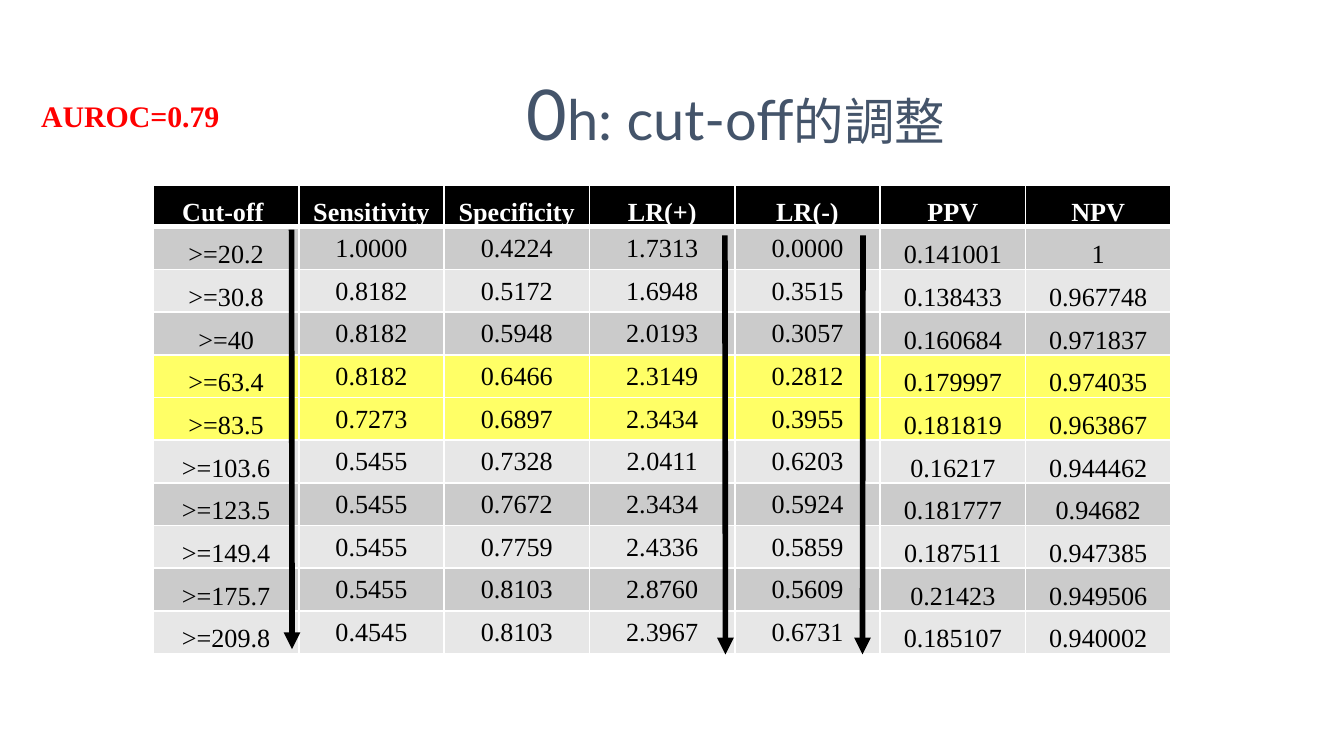
from lxml import etree
from pptx import Presentation
from pptx.dml.color import RGBColor
from pptx.enum.shapes import MSO_CONNECTOR
from pptx.enum.text import MSO_ANCHOR, MSO_AUTO_SIZE, PP_ALIGN
from pptx.oxml.ns import qn
from pptx.util import Cm, Pt

LEFT, CENTER = PP_ALIGN.LEFT, PP_ALIGN.CENTER
TOP, MIDDLE, BOTTOM = MSO_ANCHOR.TOP, MSO_ANCHOR.MIDDLE, MSO_ANCHOR.BOTTOM
STRAIGHT = MSO_CONNECTOR.STRAIGHT
GROW, FIXED = MSO_AUTO_SIZE.SHAPE_TO_FIT_TEXT, MSO_AUTO_SIZE.NONE

THEME = {
    "header_fill": "000000",
    "bands": ("CBCBCB", "E7E7E7"),
    "highlight": "FFFF66",
    "border": "FFFFFF",
    "arrow": "000000",
    "title": {"name": "Lato", "color": "44546A", "bold": False},
    "title_sizes": (37.5, 30, 27),
    "score": {"name": "Times New Roman", "size": 16, "color": "FF0000", "bold": True},
    "header": {"name": "Times New Roman", "size": 14, "color": "FFFFFF", "bold": True},
    "body": {"name": "Times New Roman", "size": 14, "color": "000000", "bold": False},
}

TITLE = ("0", "h: cut-off", "的調整")
SCORE = "AUROC=0.79"
HEADER = ("Cut-off ", "Sensitivity", "Specificity", "LR(+)", "LR(-)", "PPV", "NPV")
ROWS = [
    (">=20.2", "1.0000", "0.4224", "1.7313", "0.0000", "0.141001", "1"),
    (">=30.8", "0.8182", "0.5172", "1.6948", "0.3515", "0.138433", "0.967748"),
    (">=40", "0.8182", "0.5948", "2.0193", "0.3057", "0.160684", "0.971837"),
    (">=63.4", "0.8182", "0.6466", "2.3149", "0.2812", "0.179997", "0.974035"),
    (">=83.5", "0.7273", "0.6897", "2.3434", "0.3955", "0.181819", "0.963867"),
    (">=103.6", "0.5455", "0.7328", "2.0411", "0.6203", "0.16217", "0.944462"),
    (">=123.5", "0.5455", "0.7672", "2.3434", "0.5924", "0.181777", "0.94682"),
    (">=149.4", "0.5455", "0.7759", "2.4336", "0.5859", "0.187511", "0.947385"),
    (">=175.7", "0.5455", "0.8103", "2.8760", "0.5609", "0.21423", "0.949506"),
    (">=209.8", "0.4545", "0.8103", "2.3967", "0.6731", "0.185107", "0.940002"),
]
HIGHLIGHTED = (">=63.4", ">=83.5")
MIDDLE_COLUMNS = range(1, 5)

# Lengths in centimetres
PAGE_SIZE = (25.4, 14.29)
TITLE_BOX = (5.69, 0.74, 16.43, 2.77)
SCORE_BOX = (0.53, 1.73, 4.17, 0.94)
TABLE_BOX = (2.9, 3.51, 19.23, 8.84)
HEADER_HEIGHT = 0.78
CELL_MARGIN = 0.02
ARROWS = [  # start x, start y, end x, end y
    (5.51, 4.34, 5.52, 12.27),
    (13.7, 4.45, 13.71, 12.37),
    (16.31, 4.45, 16.3, 12.37),
]


def write(para, text, style):
    span = para.add_run()
    span.text = text
    font = span.font
    values = dict(style, size=Pt(style["size"]))
    font.color.rgb = RGBColor.from_string(values.pop("color"))
    for key, value in values.items():
        setattr(font, key, value)


def add_text(page, place, spans, align, anchor, auto_size):
    """Add a one-paragraph box; spans are (text, style) pairs."""
    frame = page.shapes.add_textbox(*map(Cm, place)).text_frame
    values = {"word_wrap": True, "auto_size": auto_size, "vertical_anchor": anchor}
    for key, value in values.items():
        setattr(frame, key, value)
    para = frame.paragraphs[0]
    para.alignment = align
    for text, style in spans:
        write(para, text, style)


def add_borders(cell, widths):
    properties = cell._tc.get_or_add_tcPr()
    for side, width in zip("LRTB", widths):
        line = etree.SubElement(properties, qn(f"a:ln{side}"), w=str(Pt(width)))
        fill = etree.SubElement(line, qn("a:solidFill"))
        etree.SubElement(fill, qn("a:srgbClr"), val=THEME["border"])


def row_fill(index, cutoff):
    if index == 0:
        return THEME["header_fill"]
    if cutoff in HIGHLIGHTED:
        return THEME["highlight"]
    return THEME["bands"][(index - 1) % 2]


def add_results(page):
    content = [HEADER, *ROWS]
    width, height = TABLE_BOX[2:]
    table = page.shapes.add_table(len(content), len(HEADER), *map(Cm, TABLE_BOX)).table
    for column in table.columns:
        column.width = Cm(width / len(HEADER))
    for index, values in enumerate(content):
        is_header = index == 0
        table.rows[index].height = Cm(
            HEADER_HEIGHT if is_header else (height - HEADER_HEIGHT) / len(ROWS)
        )
        fill = RGBColor.from_string(row_fill(index, values[0]))
        widths = (1, 1, 3 if index == 1 else 1, 3 if is_header else 1)
        for position, text in enumerate(values):
            cell = table.cell(index, position)
            centered = not is_header and position in MIDDLE_COLUMNS
            layout = {
                "margin_left": Cm(CELL_MARGIN),
                "margin_right": Cm(CELL_MARGIN),
                "margin_top": Cm(CELL_MARGIN),
                "margin_bottom": 0,
                "vertical_anchor": MIDDLE if centered else BOTTOM,
            }
            for key, value in layout.items():
                setattr(cell, key, value)
            add_borders(cell, widths)
            cell.fill.solid()
            cell.fill.fore_color.rgb = fill
            para = cell.text_frame.paragraphs[0]
            para.alignment = CENTER
            write(para, text, THEME["header" if is_header else "body"])


def add_arrow(page, ends):
    arrow = page.shapes.add_connector(STRAIGHT, *map(Cm, ends))
    arrow.line.width = Pt(3)
    arrow.line.color.rgb = RGBColor.from_string(THEME["arrow"])
    etree.SubElement(arrow.line._get_or_add_ln(), qn("a:tailEnd"), type="triangle")
    etree.SubElement(arrow._element.spPr, qn("a:effectLst"))


def main():
    deck = Presentation()
    deck.slide_width, deck.slide_height = map(Cm, PAGE_SIZE)
    page = deck.slides.add_slide(deck.slide_layouts[6])
    add_results(page)
    for ends in ARROWS:
        add_arrow(page, ends)
    title = [
        (text, dict(THEME["title"], size=size))
        for text, size in zip(TITLE, THEME["title_sizes"])
    ]
    add_text(page, TITLE_BOX, title, CENTER, MIDDLE, FIXED)
    add_text(page, SCORE_BOX, [(SCORE, THEME["score"])], LEFT, TOP, GROW)
    deck.save("out.pptx")


if __name__ == "__main__":
    main()
